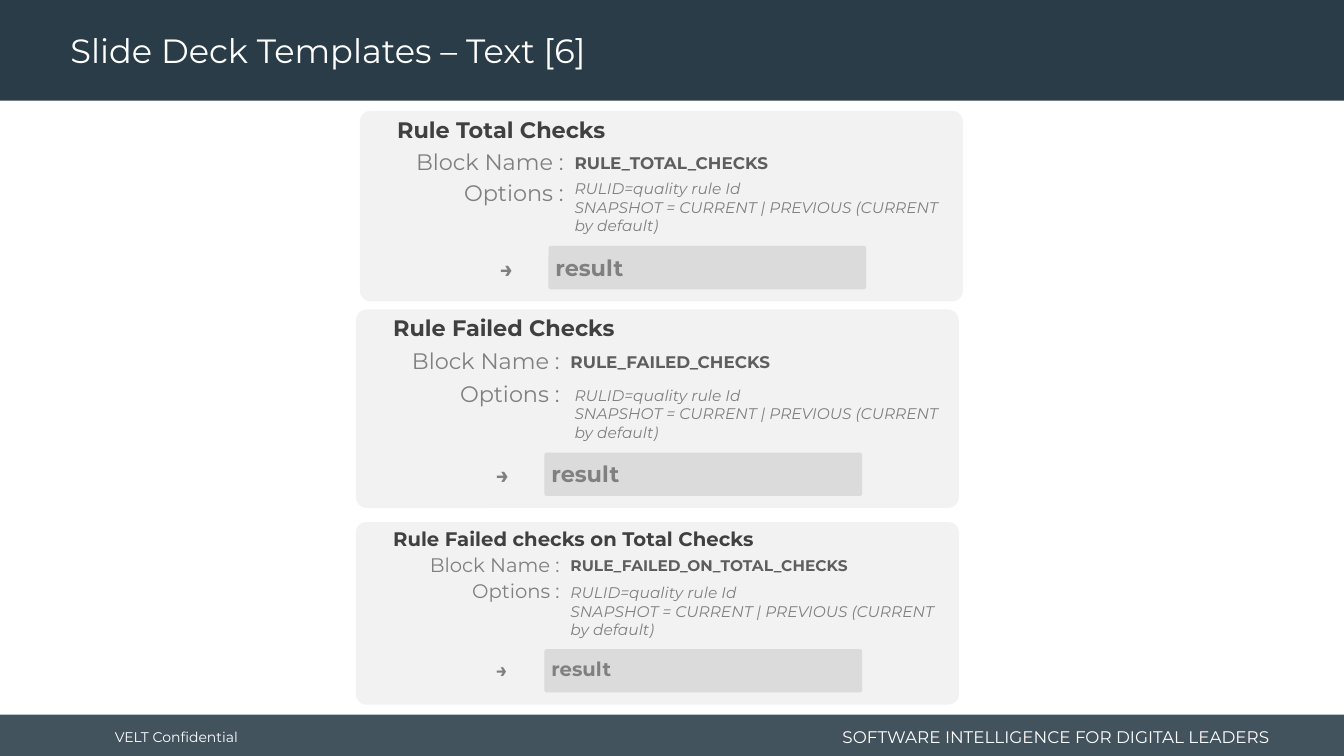
from dataclasses import dataclass

from lxml import etree
from pptx import Presentation
from pptx.dml.color import RGBColor
from pptx.enum.shapes import MSO_SHAPE as SHAPE
from pptx.enum.text import MSO_ANCHOR as ANCHOR, PP_ALIGN as ALIGN
from pptx.oxml.ns import qn
from pptx.util import Inches, Pt

WHITE = RGBColor(0xFF, 0xFF, 0xFF)
NAVY = RGBColor(0x29, 0x3C, 0x47)
PANEL = RGBColor(0xF2, 0xF2, 0xF2)
BAR = RGBColor(0xBF, 0xBF, 0xBF)
DARK = RGBColor(0x40, 0x40, 0x40)
MEDIUM = RGBColor(0x5E, 0x5E, 0x5E)
GREY = RGBColor(0x80, 0x80, 0x80)

FONT = "Montserrat"
OPTIONS = ("RULID=quality rule Id",
           "SNAPSHOT = CURRENT | PREVIOUS (CURRENT by default)")


@dataclass
class Card:
    title: str
    block: str
    left: float
    top: float
    height: float
    # Offsets from the top of the card
    label_y: float
    name_y: float
    option_label_y: float
    option_y: float
    bar_y: float
    # Offset of the options from the left of the card
    option_x: float = 2.03
    size: int = 16
    name_size: int = 12


CARDS = (
    Card("Rule Total Checks", "RULE_TOTAL_CHECKS", 3.57, 1.1, 1.89,
         0.32, 0.37, 0.63, 0.63, 1.34),
    Card("Rule Failed Checks", "RULE_FAILED_CHECKS", 3.53, 3.07, 1.97,
         0.32, 0.37, 0.65, 0.71, 1.42, option_x=2.07),
    Card("Rule Failed checks on Total Checks", "RULE_FAILED_ON_TOTAL_CHECKS",
         3.53, 5.18, 1.81, 0.26, 0.29, 0.51, 0.56, 1.26,
         size=14, name_size=11),
)


def add_block(shapes, kind, box, color, alpha=None, adj=None):
    """Add a filled shape without line or shadow."""
    sp = shapes.add_shape(kind, *map(Inches, box))
    sp.shadow.inherit = False
    sp.fill.solid()
    sp.fill.fore_color.rgb = color
    sp.line.fill.background()
    if adj is not None:
        sp.adjustments[0] = adj
    if alpha is not None:
        clr = sp.fill._xPr.find(".//" + qn("a:srgbClr"))
        etree.SubElement(clr, qn("a:alpha")).set("val", str(alpha * 1000))
    return sp


def add_text(shapes, box, lines, size, color, align=ALIGN.LEFT,
             anchor=ANCHOR.TOP, wrap=True, inset=0.1, spacing=None, **style):
    """Add a text box with one paragraph for each line."""
    tf = shapes.add_textbox(*map(Inches, box)).text_frame
    tf.word_wrap = wrap
    tf.vertical_anchor = anchor
    tf.margin_left = tf.margin_right = Inches(inset)
    formats = {"name": FONT, "size": Pt(size), **style}
    for i, line in enumerate(lines):
        p = tf.add_paragraph() if i else tf.paragraphs[0]
        p.alignment = align
        if spacing:
            p.line_spacing = spacing
        r = p.add_run()
        r.text = line
        for key, value in formats.items():
            setattr(r.font, key, value)
        r.font.color.rgb = color


def add_card(slide, card):
    """Add a rule card with its name, options and result bar."""
    shapes = slide.shapes.add_group_shape().shapes
    x, y, size = card.left, card.top, card.size
    add_block(shapes, SHAPE.ROUNDED_RECTANGLE, (x, y, 5.98, card.height),
              PANEL, adj=0.056)
    add_text(shapes, (x + 0.17, y, 5.8, 0.37), [card.title], size, DARK,
             inset=0.2, bold=True)

    # Labels, aligned on their right edge
    for label, offset in (("Block Name :", card.label_y),
                          ("Options :", card.option_label_y)):
        add_text(shapes, (x + 0.45, y + offset, 1.67, 0.37), [label],
                 size, GREY, ALIGN.RIGHT)

    # Values
    add_text(shapes, (x + 2.03, y + card.name_y, 3.9, 0.3), [card.block],
             card.name_size, MEDIUM, bold=True)
    add_text(shapes, (x + card.option_x, y + card.option_y, 3.9, 0.66),
             OPTIONS, 11, GREY, italic=True)

    # Result
    bar = y + card.bar_y
    add_text(shapes, (x + 1.29, bar + 0.04, 0.48, 0.44), ["→"], size, GREY,
             bold=True)
    add_block(shapes, SHAPE.ROUNDED_RECTANGLE, (x + 1.87, bar, 3.15, 0.43),
              BAR, alpha=45, adj=0.049)
    add_text(shapes, (x + 1.84, bar + 0.03, 2.99, 0.44), ["result"], size,
             GREY, bold=True)


def add_frame(slide):
    """Add the header with the title, and the footer."""
    shapes = slide.shapes
    add_block(shapes, SHAPE.RECTANGLE, (0, 7.09, 13.33, 0.44), NAVY, alpha=88)
    add_block(shapes, SHAPE.RECTANGLE, (0, 0, 13.33, 1), NAVY)
    add_text(shapes, (1.04, 7.11, 1.48, 0.4), ["VELT Confidential"], 10,
             WHITE, anchor=ANCHOR.MIDDLE, wrap=False)
    add_text(shapes, (8.11, 7.15, 4.58, 0.32),
             ["SOFTWARE INTELLIGENCE FOR DIGITAL LEADERS"], 12, WHITE,
             ALIGN.RIGHT, ANCHOR.MIDDLE)
    add_text(shapes, (0.6, 0.04, 9.58, 0.96),
             ["Slide Deck Templates – Text [6]"], 24, WHITE,
             anchor=ANCHOR.MIDDLE, spacing=0.9)


def main():
    prs = Presentation()
    prs.slide_width, prs.slide_height = Inches(13.33), Inches(7.5)
    slide = prs.slides.add_slide(prs.slide_layouts[6])
    add_frame(slide)
    for card in CARDS:
        add_card(slide, card)
    prs.save("out.pptx")


if __name__ == "__main__":
    main()
